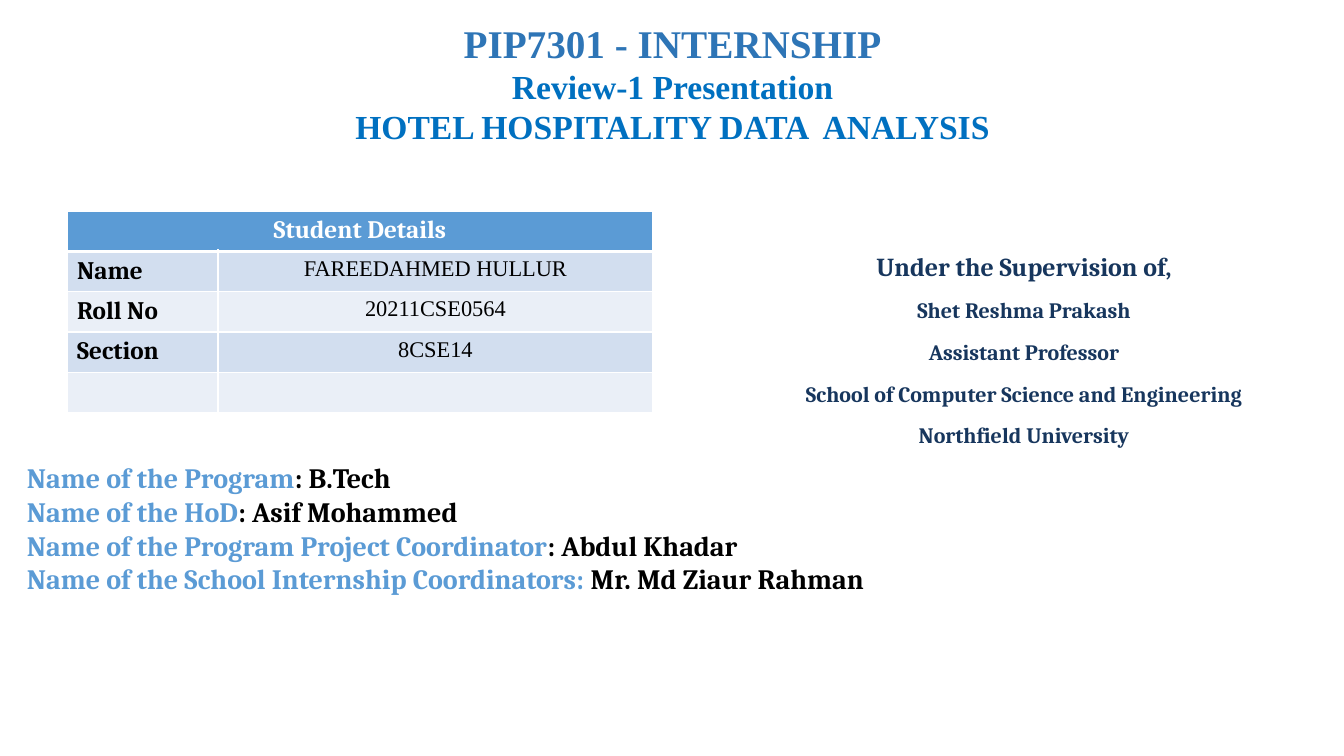
"""Build the internship review title slide."""
from dataclasses import dataclass

from lxml import etree
from pptx import Presentation
from pptx.dml.color import RGBColor
from pptx.enum.text import MSO_ANCHOR, PP_ALIGN
from pptx.oxml.ns import qn
from pptx.util import Emu, Pt

LEFT, CENTER = PP_ALIGN.LEFT, PP_ALIGN.CENTER
TOP = MSO_ANCHOR.TOP
EMU_PER_PX = 914400 / 100.8


@dataclass(frozen=True)
class Style:
    size: float
    font: str
    color: str
    bold: bool = True


@dataclass(frozen=True)
class Theme:
    serif: str = "Cambria"
    roman: str = "Times New Roman"
    white: str = "FFFFFF"
    header: str = "5B9BD5"
    bands: tuple[str, str] = ("D2DEEF", "EAEFF7")
    course: Style = Style(28, roman, "2E75B6")
    topic: Style = Style(24, roman, "0070C0")
    supervision: Style = Style(18.5, serif, "17365D")
    supervisor: Style = Style(15.7, serif, "17365D")
    role: Style = Style(20, serif, header)
    person: Style = Style(20, serif, "000000")
    table_title: Style = Style(18, serif, white)
    label: Style = Style(18, serif, "000000")
    value: Style = Style(16, roman, "000000", False)


@dataclass(frozen=True)
class Span:
    text: str
    style: Style


@dataclass(frozen=True)
class TextBlock:
    box: tuple[int, int, int, int]
    lines: list[list[Span]]
    align: PP_ALIGN = CENTER
    line_spacing: float = 1.0
    space_before: float = 0


THEME = Theme()

BLOCKS = [
    TextBlock(
        (93, 14, 1159, 172),
        [
            [Span("PIP7301 - INTERNSHIP", THEME.course)],
            [Span("Review-1 Presentation", THEME.topic)],
            [Span("HOTEL HOSPITALITY DATA  ANALYSIS", THEME.topic)],
        ],
    ),
    TextBlock(
        (720, 233, 608, 223),
        [
            [Span("Under the Supervision of,", THEME.supervision)],
            [Span("Shet Reshma Prakash", THEME.supervisor)],
            [Span("Assistant Professor", THEME.supervisor)],
            [Span("School of Computer Science and Engineering", THEME.supervisor)],
            [Span("Northfield University", THEME.supervisor)],
        ],
        line_spacing=1.4,
        space_before=3.4,
    ),
    TextBlock(
        (17, 456, 1351, 172),
        [
            [Span(role, THEME.role), Span(person, THEME.person)]
            for role, person in (
                ("Name of the Program", ": B.Tech"),
                ("Name of the HoD", ": Asif Mohammed"),
                ("Name of the Program Project Coordinator", ": Abdul Khadar"),
                ("Name of the School Internship Coordinators: ", "Mr. Md Ziaur Rahman"),
            )
        ],
        align=LEFT,
    ),
]

TABLE_TITLE = "Student Details"
STUDENT = [
    ("Name", "FAREEDAHMED HULLUR"),
    ("Roll No", "20211CSE0564"),
    ("Section", "8CSE14"),
    ("", ""),
]
TABLE_LEFT, TABLE_TOP = 67, 211
COLUMNS = (151, 435)
ROW_HEIGHT = 40


def px(value: int) -> Emu:
    """Convert pixels to EMU."""
    return Emu(round(value * EMU_PER_PX))


def apply_style(font, style: Style) -> None:
    """Apply a text style to a font."""
    font.size = Pt(style.size)
    font.name = style.font
    font.bold = style.bold
    font.color.rgb = RGBColor.from_string(style.color)


def add_text(s, block: TextBlock) -> None:
    """Draw a text block, one paragraph per line."""
    tf = s.shapes.add_textbox(*map(px, block.box)).text_frame
    tf.word_wrap = True
    tf.vertical_anchor = TOP
    for i, line in enumerate(block.lines):
        p = tf.add_paragraph() if i else tf.paragraphs[0]
        p.alignment = block.align
        p.line_spacing = block.line_spacing
        p.space_before = Pt(block.space_before if i else 0)
        for span in line:
            r = p.add_run()
            r.text = span.text
            apply_style(r.font, span.style)


def add_border(cell, side: str, width: float) -> None:
    """Add a white border to one side of a cell."""
    tc_pr = cell._tc.get_or_add_tcPr()
    ln = etree.SubElement(tc_pr, qn(f"a:ln{side}"), w=str(Pt(width)))
    fill = etree.SubElement(ln, qn("a:solidFill"))
    etree.SubElement(fill, qn("a:srgbClr"), val=THEME.white)


def fill_cell(cell, row: int, text: str, style: Style, align: PP_ALIGN) -> None:
    """Set the borders, fill and text of a cell."""
    thick = {(0, "B"), (1, "T")}
    for side in "LRTB":
        add_border(cell, side, 3 if (row, side) in thick else 1)
    color = THEME.bands[(row - 1) % 2] if row else THEME.header
    cell.fill.solid()
    cell.fill.fore_color.rgb = RGBColor.from_string(color)
    p = cell.text_frame.paragraphs[0]
    p.text = text
    p.alignment = align
    for r in p.runs:
        apply_style(r.font, style)


def add_student_table(s) -> None:
    """Draw the student details table."""
    rows = len(STUDENT) + 1
    box = (TABLE_LEFT, TABLE_TOP, sum(COLUMNS), rows * ROW_HEIGHT)
    table = s.shapes.add_table(rows, len(COLUMNS), *map(px, box)).table
    for column, width in zip(table.columns, COLUMNS):
        column.width = px(width)
    for row in table.rows:
        row.height = px(ROW_HEIGHT)
    table.cell(0, 0).merge(table.cell(0, 1))
    for i, (label, value) in enumerate([(TABLE_TITLE, ""), *STUDENT]):
        style, align = (THEME.label, LEFT) if i else (THEME.table_title, CENTER)
        fill_cell(table.cell(i, 0), i, label, style, align)
        fill_cell(table.cell(i, 1), i, value, THEME.value, CENTER)


def main() -> None:
    """Build and save the slide."""
    prs = Presentation()
    prs.slide_width, prs.slide_height = px(1344), px(756)
    s = prs.slides.add_slide(prs.slide_layouts[6])
    for block in BLOCKS:
        add_text(s, block)
    add_student_table(s)
    prs.save("out.pptx")


if __name__ == "__main__":
    main()
